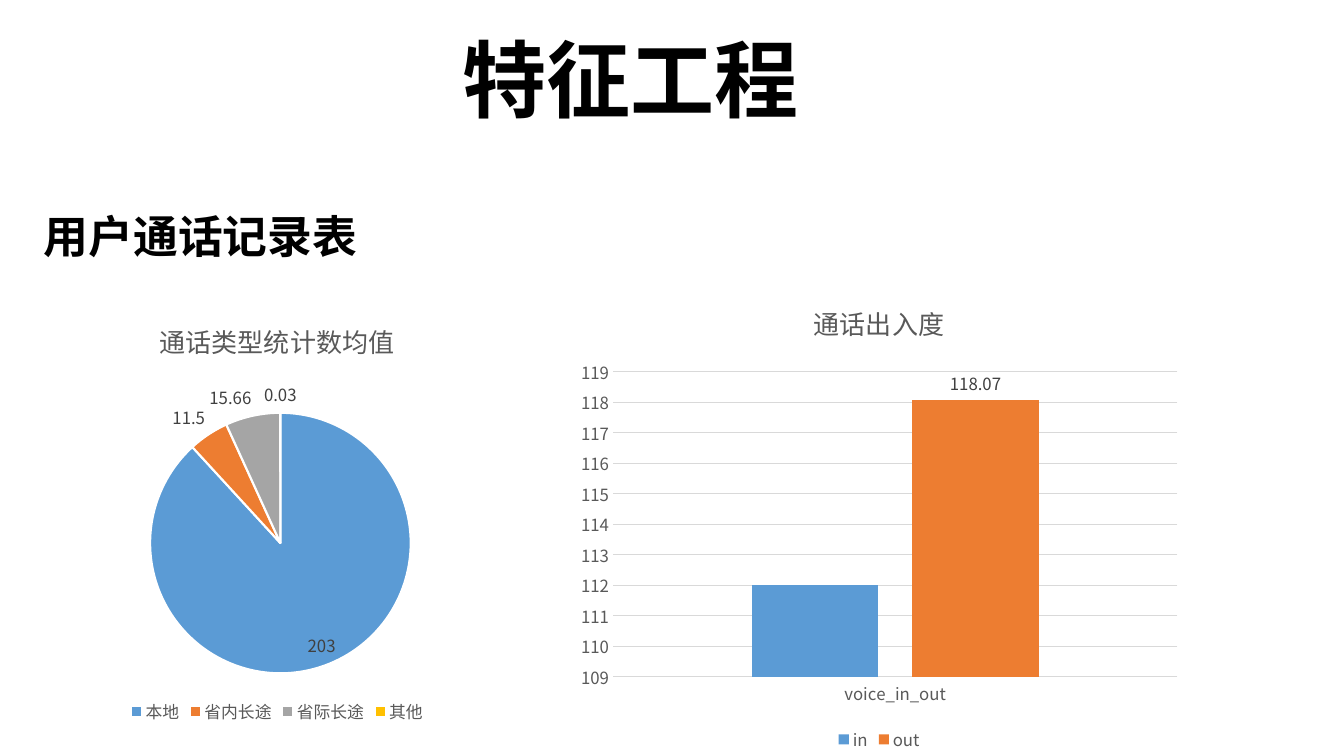
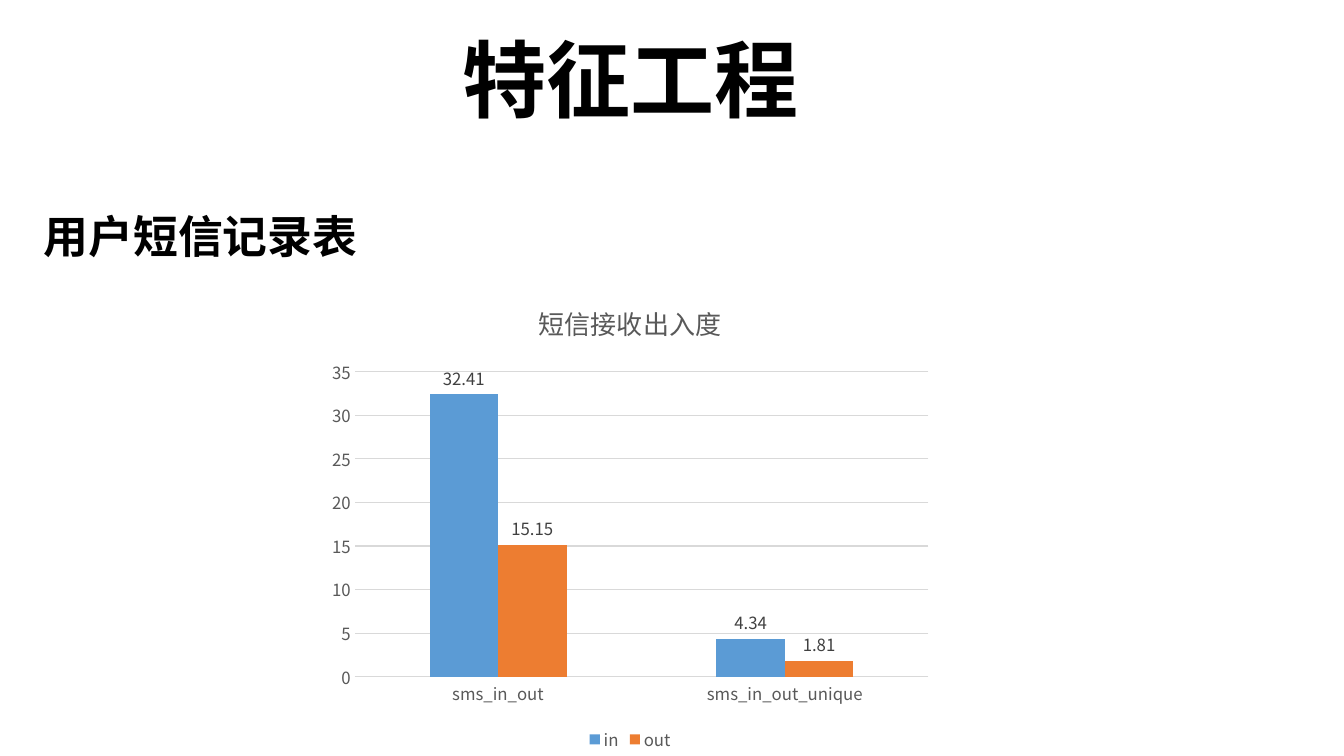
from pptx import Presentation
from pptx.chart.data import CategoryChartData as Data
from pptx.dml.color import RGBColor as RGB
from pptx.enum.chart import XL_CHART_TYPE as Kind, XL_LABEL_POSITION as Pos
from pptx.enum.chart import XL_LEGEND_POSITION as Side, XL_TICK_MARK as Tick
from pptx.enum.text import MSO_ANCHOR as Anchor, MSO_AUTO_SIZE as Fit, PP_ALIGN as Align
from pptx.oxml.ns import qn
from pptx.util import Inches, Pt
from lxml import etree

FONT = "Noto Sans CJK SC"
HEX = {"ink": "000000", "paper": "FFFFFF", "text": "595959", "label": "404040",
       "grid": "D9D9D9", "blue": "5B9BD5", "orange": "ED7D31",
       "gray": "A5A5A5", "gold": "FFC000"}
HUES = ["blue", "orange", "gray", "gold"]
TITLE = "特征工程"

# "shown" lists the series that carry value labels; "scale" is low, high, step
SLIDES = [
    ("用户通话记录表", [
        {"kind": Kind.PIE, "title": "通话类型统计数均值", "box": (0, 2.98, 5.5, 4.24),
         "cats": ["本地", "省内长途", "省际长途", "其他"],
         "rows": [("Series 1", [203, 11.5, 15.66, 0.03])], "shown": ["Series 1"]},
        {"kind": Kind.COLUMN_CLUSTERED, "title": "通话出入度", "box": (5.64, 2.79, 6.16, 4.71),
         "cats": ["voice_in_out"], "rows": [("in", [112]), ("out", [118.07])],
         "shown": ["out"], "scale": (109, 119, 1), "overlap": -27},
    ]),
    ("用户短信记录表", [
        {"kind": Kind.COLUMN_CLUSTERED, "title": "短信接收出入度", "box": (3.17, 2.79, 6.16, 4.71),
         "cats": ["sms_in_out", "sms_in_out_unique"],
         "rows": [("in", [32.41, 4.34]), ("out", [15.15, 1.81])],
         "shown": ["in", "out"], "scale": (0, 35, 5), "overlap": 0},
    ]),
]


def style(font, size, hue, bold=False):
    """Set face, size, colour and weight of a font."""
    font.name, font.size, font.bold = FONT, Pt(size), bold
    font.color.rgb = RGB.from_string(HEX[hue])


def paint(fill, hue):
    """Fill with one plain colour."""
    fill.solid()
    fill.fore_color.rgb = RGB.from_string(HEX[hue])


def rule(line, hue, width):
    """Give a line its colour and width."""
    line.color.rgb = RGB.from_string(HEX[hue])
    line.width = Pt(width)


def widen(root):
    """Repeat each Latin face as the East Asian face."""
    for face in list(root.iter(qn("a:latin"))):
        twin = etree.Element(qn("a:ea"))
        twin.set("typeface", face.get("typeface"))
        face.addnext(twin)


def write(shape, text, box, size, anchor, before=0):
    """Place a placeholder and set its bold centred line."""
    shape.left, shape.top, shape.width, shape.height = map(Inches, box)
    frame = shape.text_frame
    frame.text = text
    frame.word_wrap, frame.auto_size = True, Fit.NONE
    frame.vertical_anchor = anchor
    para = frame.paragraphs[0]
    para.alignment, para.line_spacing, para.space_before = Align.CENTER, 0.9, Pt(before)
    style(para.runs[0].font, size, "ink", True)


def mark(row, pos):
    """Show the values of a series."""
    labels = row.data_labels
    labels.show_value, labels.position = True, pos
    style(labels.font, 12, "label")


def slices(plot, info):
    """Colour the slices of a pie."""
    plot.vary_by_categories = True
    row = plot.series[0]
    for i, hue in enumerate(HUES):
        form = row.points[i].format
        paint(form.fill, hue)
        rule(form.line, "paper", 1.5)
    mark(row, Pos.BEST_FIT)


def bars(chart, plot, info):
    """Format the columns and both axes."""
    plot.vary_by_categories = False
    plot.gap_width, plot.overlap = 219, info["overlap"]
    for row, hue in zip(plot.series, HUES):
        paint(row.format.fill, hue)
        if row.name in info["shown"]:
            mark(row, Pos.OUTSIDE_END)
    cat, val = chart.category_axis, chart.value_axis
    for axis in (cat, val):
        axis.major_tick_mark = axis.minor_tick_mark = Tick.NONE
        style(axis.tick_labels.font, 12, "text")
    rule(cat.format.line, "grid", 0.75)
    rule(val.major_gridlines.format.line, "grid", 0.75)
    val.format.line.fill.background()
    val.minimum_scale, val.maximum_scale, val.major_unit = info["scale"]


def draw(slide, info):
    """Add one chart with title and legend."""
    data = Data()
    data.categories = info["cats"]
    for name, vals in info["rows"]:
        data.add_series(name, vals)
    chart = slide.shapes.add_chart(info["kind"], *map(Inches, info["box"]), data).chart
    style(chart.font, 10, "ink")
    chart.has_title = True
    frame = chart.chart_title.text_frame
    frame.text = info["title"]
    style(frame.paragraphs[0].runs[0].font, 18.6, "text")
    chart.chart_title.include_in_layout = False
    chart.has_legend = True
    chart.legend.position, chart.legend.include_in_layout = Side.BOTTOM, False
    style(chart.legend.font, 12, "text")
    if info["kind"] == Kind.PIE:
        slices(chart.plots[0], info)
    else:
        bars(chart, chart.plots[0], info)
    widen(chart.element)


deck = Presentation()
deck.slide_width, deck.slide_height = Inches(13.33), Inches(7.5)
for topic, charts in SLIDES:
    slide = deck.slides.add_slide(deck.slide_layouts[0])
    write(slide.shapes.title, TITLE, (1.25, 0, 10, 1.34), 60, Anchor.BOTTOM)
    write(slide.placeholders[1], topic, (0, 2.08, 3.98, 0.62), 32, Anchor.TOP, 10)
    widen(slide.element)
    for info in charts:
        draw(slide, info)
deck.save("out.pptx")
